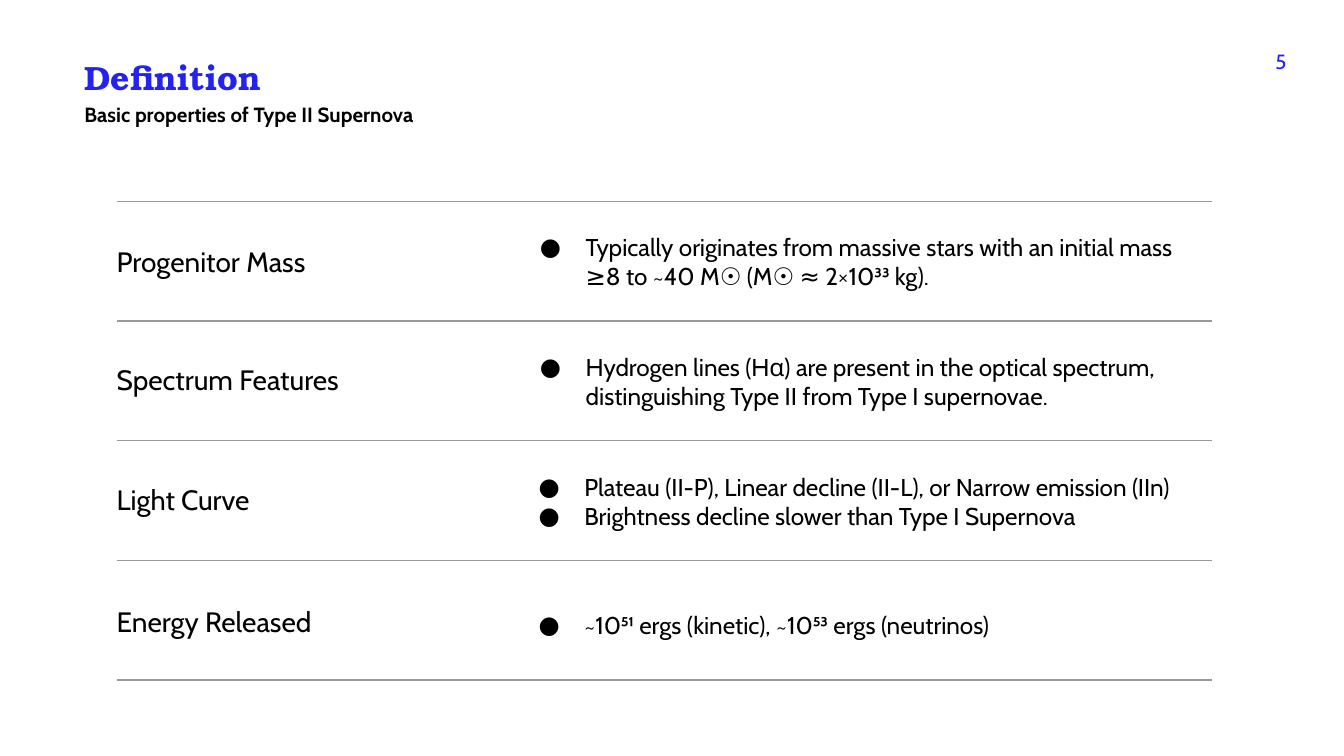
"""Build the slide that defines a Type II supernova."""
from dataclasses import dataclass

from lxml.etree import SubElement
from pptx import Presentation
from pptx.dml.color import RGBColor
from pptx.enum.shapes import MSO_CONNECTOR as Link
from pptx.enum.text import MSO_ANCHOR as Anchor, PP_ALIGN as Align
from pptx.oxml.ns import qn
from pptx.slide import Slide
from pptx.util import Inches, Pt

BLACK = RGBColor(0x00, 0x00, 0x00)
BLUE = RGBColor(0x23, 0x22, 0xEF)
GRAY = RGBColor(0x99, 0x99, 0x99)
BODY = "Cabin"
HEAD = "TeX Gyre Bonum"
TOP, PITCH = 1.5, 0.89
LEFT, RIGHT = 0.87, 9.02


@dataclass(frozen=True)
class Box:
    left: float
    top: float
    width: float
    height: float


@dataclass(frozen=True)
class Style:
    size: int
    font: str = BODY
    color: RGBColor = BLACK
    bold: bool = False
    align: Align = Align.LEFT
    anchor: Anchor = Anchor.TOP
    bullet: bool = False


@dataclass(frozen=True)
class Row:
    label: str
    top: float
    facts: str
    box: Box
    anchor: Anchor = Anchor.MIDDLE


ROWS = (
    Row("Progenitor Mass", 1.72,
        "Typically originates from massive stars with an initial mass "
        "≥8 to ~40 M☉ (M☉ ≈ 2×10³³ kg).",
        Box(3.76, 1.56, 5.26, 0.77)),
    Row("Spectrum Features", 2.6,
        "Hydrogen lines (Hα) are present in the optical spectrum, "
        "distinguishing Type II from Type I supernovae.",
        Box(3.76, 2.55, 5.26, 0.58)),
    Row("Light Curve", 3.49,
        "Plateau (II-P), Linear decline (II-L), or Narrow emission (IIn)\n"
        "Brightness decline slower than Type I Supernova",
        Box(3.75, 3.55, 5.26, 0.36)),
    Row("Energy Released", 4.4,
        "~10⁵¹ ergs (kinetic), ~10⁵³ ergs (neutrinos)",
        Box(3.75, 4.44, 5.26, 0.34), Anchor.TOP),
)


def add_bullet(para, style: Style) -> None:
    props = para._p.get_or_add_pPr()
    props.set("marL", str(Inches(0.5)))
    props.set("indent", str(Inches(-0.34)))
    tint = SubElement(props, qn("a:buClr"))
    SubElement(tint, qn("a:srgbClr")).set("val", str(style.color))
    SubElement(props, qn("a:buSzPts")).set("val", str(style.size * 100))
    SubElement(props, qn("a:buFont")).set("typeface", style.font)
    SubElement(props, qn("a:buChar")).set("char", "●")


def add_text(slide: Slide, text: str, box: Box, style: Style) -> None:
    shape = slide.shapes.add_textbox(
        Inches(box.left), Inches(box.top), Inches(box.width), Inches(box.height))
    frame = shape.text_frame
    frame.word_wrap = True
    frame.vertical_anchor = style.anchor
    frame.margin_left = frame.margin_right = Inches(0.1)
    frame.margin_top = frame.margin_bottom = Inches(0.1)
    frame.text = text
    for para in frame.paragraphs:
        para.alignment = style.align
        if style.bullet:
            add_bullet(para, style)
        for run in para.runs:
            run.font.name = style.font
            run.font.size = Pt(style.size)
            run.font.bold = style.bold
            run.font.color.rgb = style.color


def add_rule(slide: Slide, top: float) -> None:
    rule = slide.shapes.add_connector(
        Link.STRAIGHT, Inches(LEFT), Inches(top), Inches(RIGHT), Inches(top))
    rule.line.color.rgb = GRAY
    rule.line.width = Pt(0.75)
    SubElement(rule._element.spPr, qn("a:effectLst"))


def main() -> None:
    deck = Presentation()
    deck.slide_width = Inches(10)
    deck.slide_height = Inches(10 * 9 / 16)
    slide = deck.slides.add_slide(deck.slide_layouts[6])

    add_text(slide, "Definition", Box(0.53, 0.32, 3.93, 0.37),
             Style(18, HEAD, BLUE, bold=True))
    add_text(slide, "Basic properties of Type II Supernova",
             Box(0.53, 0.67, 5.33, 0.41), Style(11, bold=True))
    add_text(slide, "5", Box(9.29, 0.27, 0.38, 0.19),
             Style(11, color=BLUE, align=Align.RIGHT))

    for row in ROWS:
        add_text(slide, row.label, Box(0.77, row.top, 2.23, 0.42), Style(15))
        add_text(slide, row.facts, row.box,
                 Style(13, anchor=row.anchor, bullet=True))
    for step in range(len(ROWS) + 1):
        add_rule(slide, TOP + step * PITCH)

    deck.save("out.pptx")


if __name__ == "__main__":
    main()
